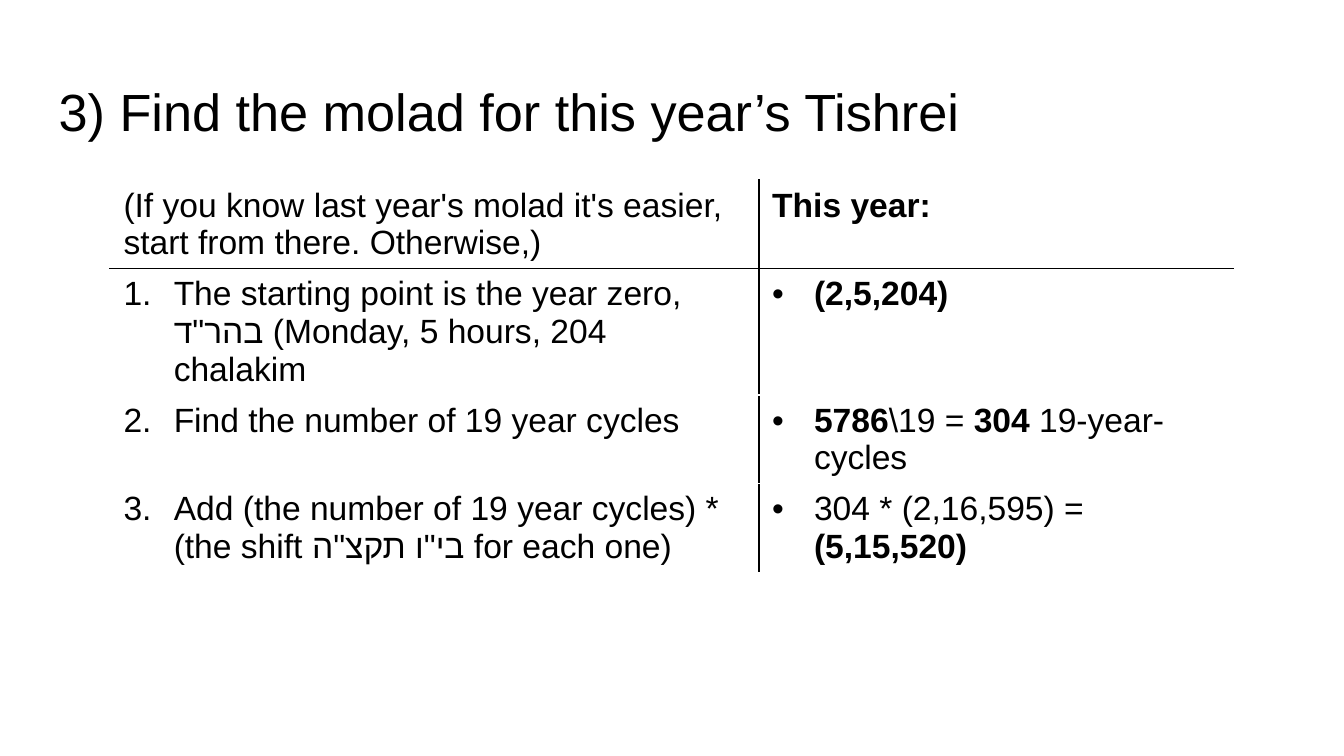
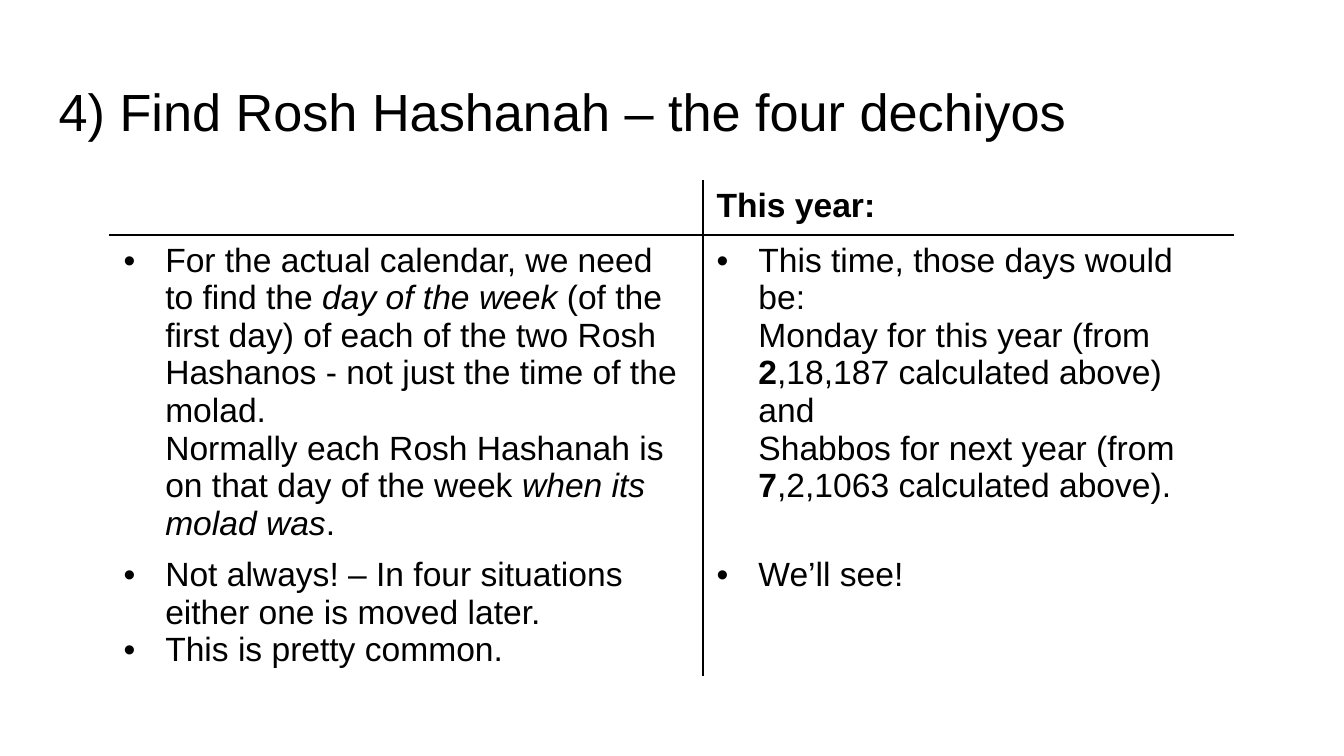
from lxml import etree
from pptx import Presentation
from pptx.dml.color import RGBColor
from pptx.enum.text import MSO_ANCHOR, MSO_AUTO_SIZE, PP_ALIGN
from pptx.oxml.ns import qn
from pptx.util import Cm, Pt

BLACK = RGBColor(0x00, 0x00, 0x00)
WHITE = RGBColor(0xFF, 0xFF, 0xFF)
FONT = "Arial"
LEFT = PP_ALIGN.LEFT
TOP = MSO_ANCHOR.TOP
NO_AUTOFIT = MSO_AUTO_SIZE.NONE
TITLE_ONLY = 5

TABLE_LEFT, TABLE_TOP = Cm(2.08), Cm(3.4)
ROW_HEIGHT = Cm(1.04)
BULLET_INDENT = Cm(0.79)
NUMBER_INDENT = Cm(0.95)
RULE_WIDTH = Pt(1)


def add_text(paragraph, text, size=18, bold=False, italic=False, color=BLACK):
    """Append formatted text; each newline becomes a line break."""
    for index, line in enumerate(text.split("\n")):
        if index:
            paragraph.add_line_break()
        run = paragraph.add_run()
        run.text = line
        font = run.font
        font.name, font.size, font.color.rgb = FONT, Pt(size), color
        font.bold, font.italic = bold, italic
        etree.SubElement(font._element, qn("a:cs"), typeface=FONT)


def add_marker(paragraph, number=None):
    """Give the paragraph a number, or a bullet when there is none."""
    indent = NUMBER_INDENT if number else BULLET_INDENT
    properties = paragraph._p.get_or_add_pPr()
    properties.set("marL", str(indent))
    properties.set("indent", str(-indent))
    color = etree.SubElement(properties, qn("a:buClr"))
    etree.SubElement(color, qn("a:srgbClr"), val=str(BLACK))
    etree.SubElement(properties, qn("a:buFont"), typeface=FONT)
    if number:
        etree.SubElement(properties, qn("a:buAutoNum"), type="arabicPeriod", startAt=str(number))
    else:
        etree.SubElement(properties, qn("a:buChar"), char="•")


def add_title(slide, text):
    title = slide.shapes.title
    title.left, title.top, title.width, title.height = Cm(0.86), Cm(1.24), Cm(23.67), Cm(1.59)
    frame = title.text_frame
    frame.margin_left = frame.margin_right = frame.margin_top = frame.margin_bottom = Cm(0.25)
    frame.vertical_anchor, frame.auto_size, frame.word_wrap = TOP, NO_AUTOFIT, True
    frame.paragraphs[0].alignment = LEFT
    add_text(frame.paragraphs[0], text, size=28)


def set_borders(cell, row, column, row_gaps):
    """Black rules below the header and between the columns, the rest white or none."""
    black_sides = {"R" if column == 0 else "L"}
    if row < 2:
        black_sides.add("B" if row == 0 else "T")
    properties = cell._tc.get_or_add_tcPr()
    for side in "LRTB":
        line = etree.SubElement(properties, qn("a:ln" + side), w=str(RULE_WIDTH))
        if side in "TB" and side not in black_sides and not row_gaps:
            etree.SubElement(line, qn("a:noFill"))
            continue
        fill = etree.SubElement(line, qn("a:solidFill"))
        color = BLACK if side in black_sides else WHITE
        etree.SubElement(fill, qn("a:srgbClr"), val=str(color))


def fill_cell(cell, paragraphs, marked, number=None):
    """Write paragraphs, each a list of (text, format) runs."""
    frame = cell.text_frame
    for index, runs in enumerate(paragraphs):
        paragraph = frame.add_paragraph() if index else frame.paragraphs[0]
        if marked:
            add_marker(paragraph, number)
        for text, style in runs:
            add_text(paragraph, text, **style)


def add_steps_table(slide, rows, widths, numbered=False, row_gaps=False):
    """Add the header and step rows, with the worked year on the right."""
    frame = slide.shapes.add_table(len(rows), len(widths), TABLE_LEFT, TABLE_TOP,
                                   sum(widths), ROW_HEIGHT * len(rows))
    table = frame.table
    table.first_row = table.horz_banding = False
    for column, width in enumerate(widths):
        table.columns[column].width = width
    for row, contents in enumerate(rows):
        for column, paragraphs in enumerate(contents):
            cell = table.cell(row, column)
            set_borders(cell, row, column, row_gaps)
            cell.fill.solid()
            cell.fill.fore_color.rgb = WHITE
            number = row if numbered and column == 0 else None
            fill_cell(cell, paragraphs, marked=row > 0, number=number)


PLAIN, BOLD, ITALIC = {}, {"bold": True}, {"italic": True}
THIS_YEAR = [[("This year:", BOLD)]]

MOLAD_ROWS = [
    ([[("(If you know last year's molad it's easier, start from there. Otherwise,)", PLAIN)]],
     THIS_YEAR),
    ([[("The starting point is the year zero, בהר\"ד (Monday, 5 hours, 204 chalakim", PLAIN)]],
     [[("(2,5,204)", BOLD)]]),
    ([[("Find the number of 19 year cycles", PLAIN)]],
     [[("5786", BOLD), ("\\19 = ", PLAIN), ("304", BOLD), (" 19-year-cycles", PLAIN)]]),
    ([[("Add (the number of 19 year cycles) * (the shift בי\"ו תקצ\"ה for each one)", PLAIN)]],
     [[("304 * (2,16,595) = ", PLAIN), ("(5,15,520)", BOLD)]]),
]

DECHIYOS_ROWS = [
    ([], THIS_YEAR),
    ([[("For the actual calendar, we need to find the ", PLAIN),
       ("day of the week", ITALIC),
       (" (of the first day) of each of the two Rosh Hashanos - not just the time of the molad.\n"
        "Normally each Rosh Hashanah is on that day of the week ", PLAIN),
       ("when its molad was", ITALIC),
       (".", PLAIN)]],
     [[("This time, those days would be:\nMonday for this year (from ", PLAIN),
       ("2", BOLD),
       (",18,187 calculated above)\nand\nShabbos for next year (from ", PLAIN),
       ("7", BOLD),
       (",2,1063 calculated above).", PLAIN)]]),
    ([[("Not always! – In four situations either one is moved later.", PLAIN)],
      [("This is pretty common.", PLAIN)]],
     [[("We’ll see!", PLAIN)]]),
]


def add_step_slide(prs, title, rows, widths, **table_options):
    slide = prs.slides.add_slide(prs.slide_layouts[TITLE_ONLY])
    add_title(slide, title)
    add_steps_table(slide, rows, widths, **table_options)


def main():
    prs = Presentation()
    prs.slide_width, prs.slide_height = Cm(25.4), Cm(14.29)
    background = prs.slide_master.background.fill
    background.solid()
    background.fore_color.rgb = WHITE
    add_step_slide(prs, "3) Find the molad for this year’s Tishrei", MOLAD_ROWS,
                   (Cm(12.26), Cm(8.97)), numbered=True, row_gaps=True)
    add_step_slide(prs, "4) Find Rosh Hashanah – the four dechiyos", DECHIYOS_ROWS,
                   (Cm(11.21), Cm(10.02)))
    prs.save("out.pptx")


if __name__ == "__main__":
    main()
